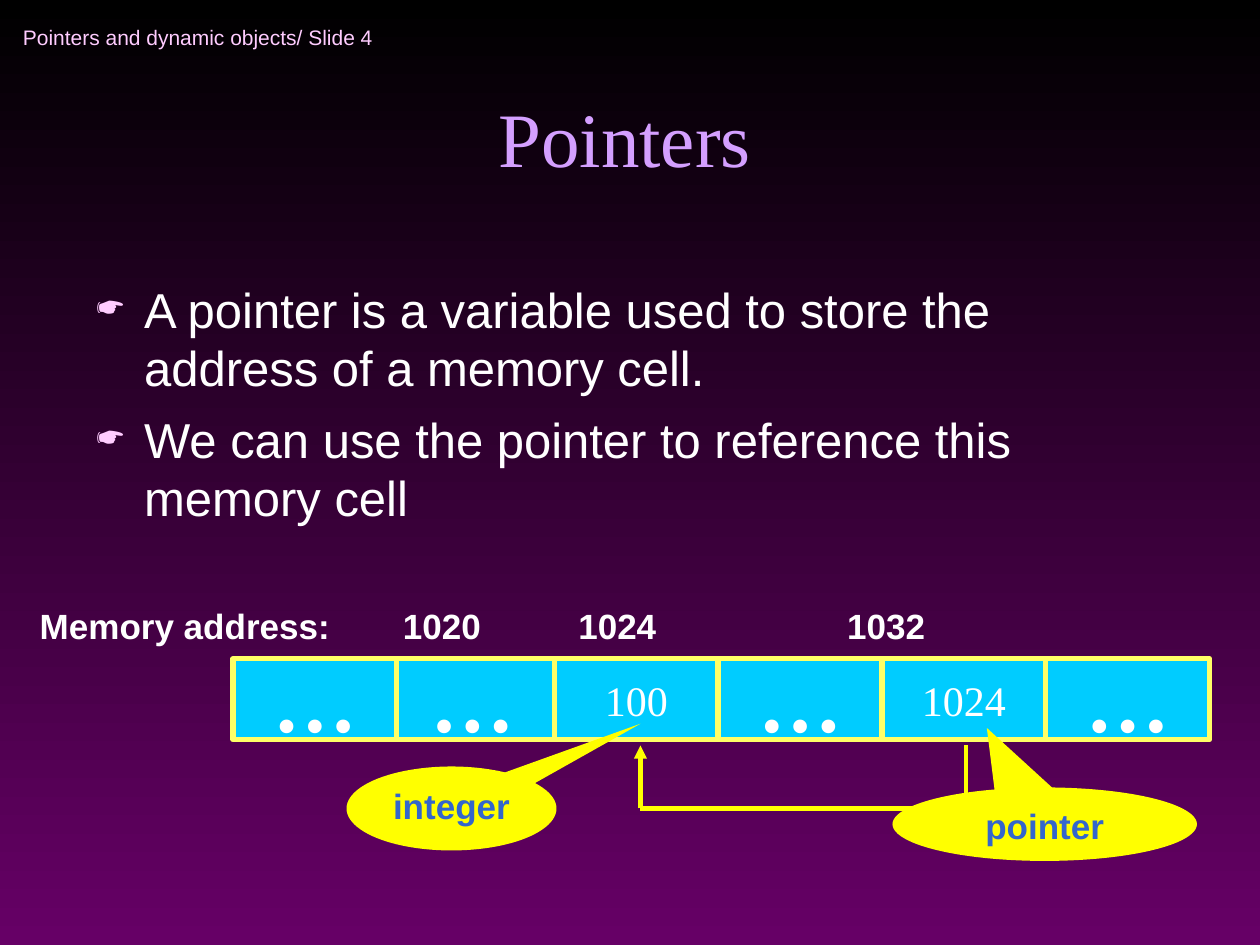
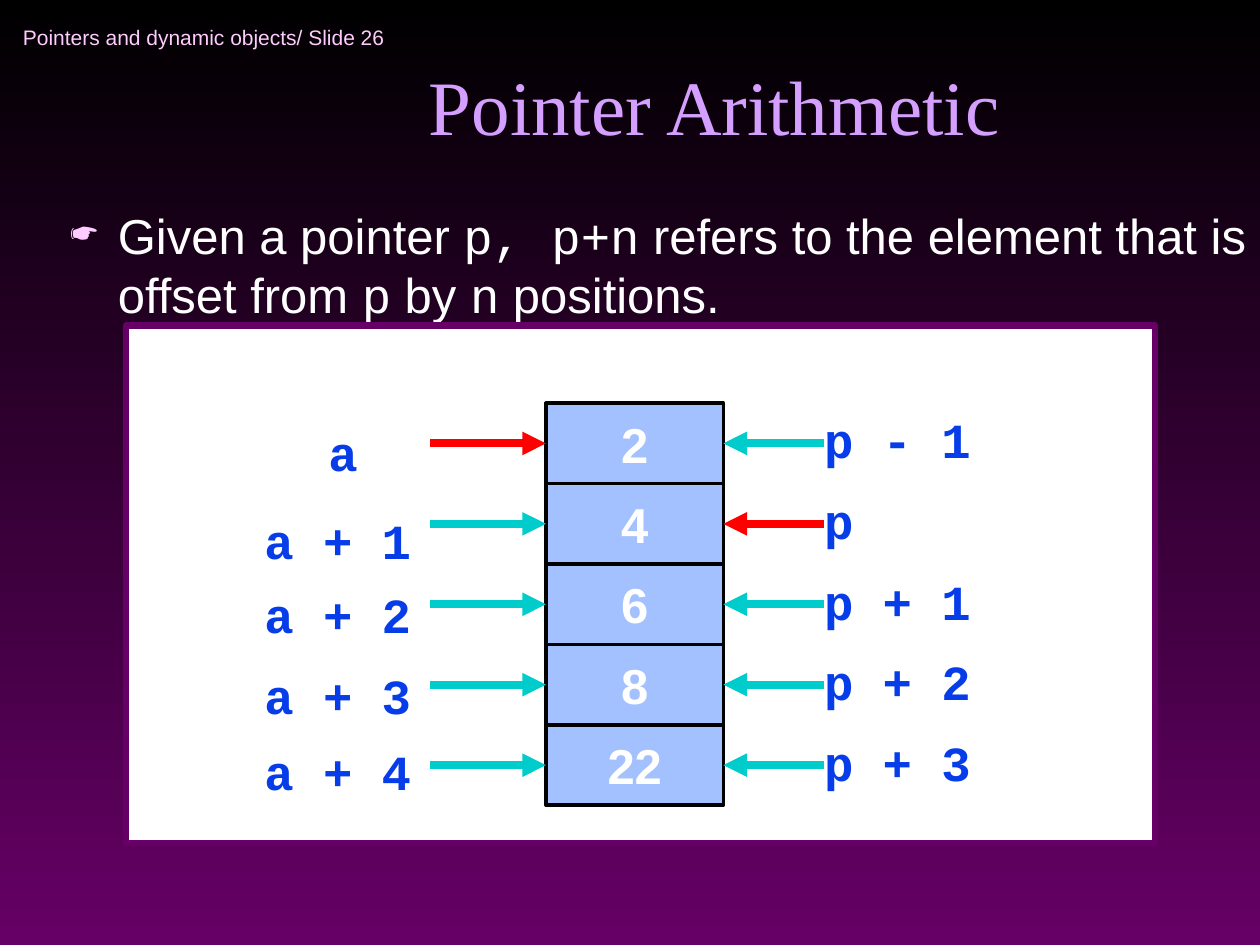
from lxml import etree
from pptx import Presentation
from pptx import util as u
from pptx.dml.color import RGBColor
from pptx.enum import shapes, text
from pptx.oxml import ns

BLACK = RGBColor(0x00, 0x00, 0x00)
WHITE = RGBColor(0xFF, 0xFF, 0xFF)
PURPLE = RGBColor(0x66, 0x00, 0x66)
LILAC = RGBColor(0xD4, 0x9F, 0xFF)
PINK = RGBColor(0xFF, 0xCC, 0xFF)
CYAN = RGBColor(0x00, 0xCC, 0xFF)
TEAL = RGBColor(0x00, 0xCC, 0xCC)
PALE_YELLOW = RGBColor(0xFF, 0xFF, 0x66)
YELLOW = RGBColor(0xFF, 0xFF, 0x00)
RED = RGBColor(0xFF, 0x00, 0x00)
SOFT_BLUE = RGBColor(0xA2, 0xC1, 0xFE)
STEEL_BLUE = RGBColor(0x33, 0x66, 0xCC)
DEEP_BLUE = RGBColor(0x06, 0x3D, 0xE8)

SANS, SERIF, MONO = "Arial", "Times New Roman", "Courier New"
COLUMNS, ROWS = 120, 90
HANGING = u.Inches(0.38)
LEFT, CENTER = text.PP_ALIGN.LEFT, text.PP_ALIGN.CENTER
TOP, MIDDLE, BOTTOM = (
    text.MSO_ANCHOR.TOP, text.MSO_ANCHOR.MIDDLE, text.MSO_ANCHOR.BOTTOM)
RECTANGLE = shapes.MSO_SHAPE.RECTANGLE
CALLOUT = shapes.MSO_SHAPE.OVAL_CALLOUT
LEFT_SIDE, RIGHT_SIDE = 1, 3

HEADER = dict(size=12, name=SANS, color=PINK)
TITLE = dict(size=44, name=SERIF, color=LILAC)
BODY = dict(size=28, name=SANS, color=WHITE)
ADDRESS = dict(size=20, name=SANS, color=WHITE, bold=True)
VALUE = dict(size=24, name=SERIF, color=WHITE)
DOTS = dict(size=48, name=SERIF, color=WHITE, bold=True)
NOTE = dict(size=20, name=SANS, color=STEEL_BLUE, bold=True)
ELEMENT = dict(size=28, name=SANS, color=WHITE, bold=True)
EXPRESSION = dict(size=28, name=MONO, color=DEEP_BLUE, bold=True)


def assign(target, values):
    for name, value in values.items():
        setattr(target, name, value)


def add_node(parent, tag, **values):
    return etree.SubElement(parent, ns.qn(tag), **values)


class Lecture:
    def __init__(self):
        self.deck = Presentation()
        assign(self.deck, dict(slide_width=u.Inches(10), slide_height=u.Inches(7.5)))
        self.page = None
        fill = self.deck.slide_master.background.fill
        fill.gradient()
        fill.gradient_angle = 270
        for stop, color in zip(fill.gradient_stops, (BLACK, PURPLE)):
            stop.color.rgb = color

    def x(self, column):
        return round(self.deck.slide_width * column / COLUMNS)

    def y(self, row):
        return round(self.deck.slide_height * row / ROWS)

    def area(self, column, row, columns, rows):
        return self.x(column), self.y(row), self.x(columns), self.y(rows)

    def start_page(self, number, title, place):
        self.page = self.deck.slides.add_slide(self.deck.slide_layouts[5])
        self.label((1, 1, 40, 5), f"Pointers and dynamic objects/ Slide {number}",
                   HEADER, anchor=MIDDLE, hanging=False)
        box = self.page.shapes.title
        assign(box, dict(zip(("left", "top", "width", "height"), self.area(*place))))
        self.fill_text(box, [title], TITLE, CENTER, BOTTOM, hanging=False)

    def fill_text(self, box, paragraphs, style, align=LEFT, anchor=TOP,
                  wrap=True, hanging=True, before=0, bullet=None):
        frame = box.text_frame
        assign(frame, dict(word_wrap=wrap, vertical_anchor=anchor,
                           auto_size=text.MSO_AUTO_SIZE.NONE))
        for index, content in enumerate(paragraphs):
            para = frame.add_paragraph() if index else frame.paragraphs[0]
            assign(para, dict(alignment=align, space_before=u.Pt(before)))
            spans = [(content, style["name"])] if isinstance(content, str) else content
            for words, font_name in spans:
                span = para.add_run()
                span.text = words
                assign(span.font, dict(name=font_name, size=u.Pt(style["size"]),
                                       bold=style.get("bold", False)))
                span.font.color.rgb = style["color"]
            self.indent(para, hanging, bullet)

    def indent(self, para, hanging, bullet):
        properties = para._p.get_or_add_pPr()
        if hanging:
            properties.set("marL", str(HANGING))
            properties.set("indent", str(-HANGING))
        if bullet:
            color = add_node(properties, "a:buClr")
            add_node(color, "a:srgbClr", val=str(PINK))
            add_node(properties, "a:buSzPct", val="75000")
            add_node(properties, "a:buChar", char=bullet)

    def label(self, place, words, style, **layout):
        box = self.page.shapes.add_textbox(*self.area(*place))
        self.fill_text(box, [words], style, **layout)

    def bullets(self, place, paragraphs):
        box = self.page.shapes.add_textbox(*self.area(*place))
        self.fill_text(box, paragraphs, BODY, before=7, bullet="☛")

    def shape(self, place, fill, line=None, width=0, kind=RECTANGLE):
        box = self.page.shapes.add_shape(kind, *self.area(*place))
        box.shadow.inherit = False
        box.fill.solid()
        box.fill.fore_color.rgb = fill
        if line is None:
            box.line.fill.background()
        else:
            box.line.color.rgb = line
            box.line.width = u.Pt(width)
        return box

    def cell(self, place, words, style, fill, line, width, hanging=False):
        box = self.shape(place, fill, line, width)
        self.fill_text(box, [words], style, CENTER, MIDDLE, wrap=False, hanging=hanging)
        return box

    def callout(self, place, words, tip):
        box = self.shape(place, YELLOW, kind=CALLOUT)
        for index, share in enumerate(tip):
            box.adjustments[index] = share
        self.fill_text(box, [words], NOTE, CENTER, before=5)

    def line(self, start, end, color, width, arrow=False, join=None):
        points = [self.x(start[0]), self.y(start[1]), self.x(end[0]), self.y(end[1])]
        link = self.page.shapes.add_connector(shapes.MSO_CONNECTOR.STRAIGHT, *points)
        link.line.color.rgb = color
        link.line.width = u.Pt(width)
        properties = link._element.spPr
        if arrow:
            add_node(properties.find(ns.qn("a:ln")), "a:tailEnd", type="triangle")
        add_node(properties, "a:effectLst")
        if join:
            link.end_connect(*join)


def build_pointers(lecture):
    lecture.start_page(4, "Pointers", (8, 3, 103, 15))
    lecture.bullets((8, 26, 103, 54), [
        "A pointer is a variable used to store the address of a memory cell.",
        "We can use the pointer to reference this memory cell"])

    cell_width, cell_top, cell_height = 15.6, 62.75, 7.7
    columns = [37.2 + cell_width * index for index in range(5)] + [22.2]
    for column, value in zip(columns, ("…", "100", "…", "1024", "…", "…")):
        lecture.cell((column, cell_top, cell_width, cell_height), value,
                     DOTS if value == "…" else VALUE, CYAN, PALE_YELLOW, 3)

    addresses = {"Memory address:": (2.6, 39), "1020": (37.2, 13),
                 "1024": (53.9, 13), "1032": (79.5, 19)}
    for words, (column, width) in addresses.items():
        lecture.label((column, 57, width, 5.3), words, ADDRESS, before=5)

    target, source, upper, lower = 61, 92, 71, 77
    lecture.line((target, lower), (target, upper), YELLOW, 2.5, arrow=True)
    lecture.line((target, lower), (source, lower), YELLOW, 2.5)
    lecture.line((source, upper), (source, lower), YELLOW, 2.5)
    lecture.callout((33, 73, 20, 8), "integer", (0.9, -1.01))
    lecture.callout((85, 75, 29, 7), "pointer", (-0.19, -1.31))


def build_arithmetic(lecture):
    lecture.start_page(26, "Pointer Arithmetic", (16.4, 6, 103.3, 9))
    lecture.bullets((5.5, 19, 114.5, 67.5), [[
        ("Given a pointer ", SANS), ("p, p+n", MONO),
        (" refers to the element that is offset from ", SANS), ("p", MONO),
        (" by ", SANS), ("n", MONO), (" positions.", SANS)]])
    lecture.shape((12, 31, 98, 49.3), WHITE, PURPLE, 3.5)

    left, top, width, height = 52, 38.4, 16.9, 7.66
    rows = [
        ("2", "a", 30.1, 39.6, "p - 1"),
        ("4", "a + 1", 24, 48, "p"),
        ("6", "a + 2", 24, 55.1, "p + 1"),
        ("8", "a + 3", 24, 62.8, "p + 2"),
        ("22", "a + 4", 24, 70, "p + 3")]
    for index, (value, array_term, column, row, pointer_term) in enumerate(rows):
        cell_top = top + height * index
        middle = cell_top + height / 2
        element = lecture.cell((left, cell_top, width, height), value, ELEMENT,
                               SOFT_BLUE, BLACK, 2, hanging=True)
        lecture.label((column, row, 18, 6.8), array_term, EXPRESSION, before=7)
        lecture.label((77.3, top + 7.7 * index, 19.7, 6.8), pointer_term,
                      EXPRESSION, before=7)
        lecture.line((41, middle), (left, middle), RED if array_term == "a" else TEAL,
                     4.5, arrow=True, join=(element, LEFT_SIDE))
        lecture.line((78.5, middle), (left + width, middle),
                     RED if pointer_term == "p" else TEAL,
                     4.5, arrow=True, join=(element, RIGHT_SIDE))


def main():
    lecture = Lecture()
    build_pointers(lecture)
    build_arithmetic(lecture)
    lecture.deck.save("out.pptx")


if __name__ == "__main__":
    main()
